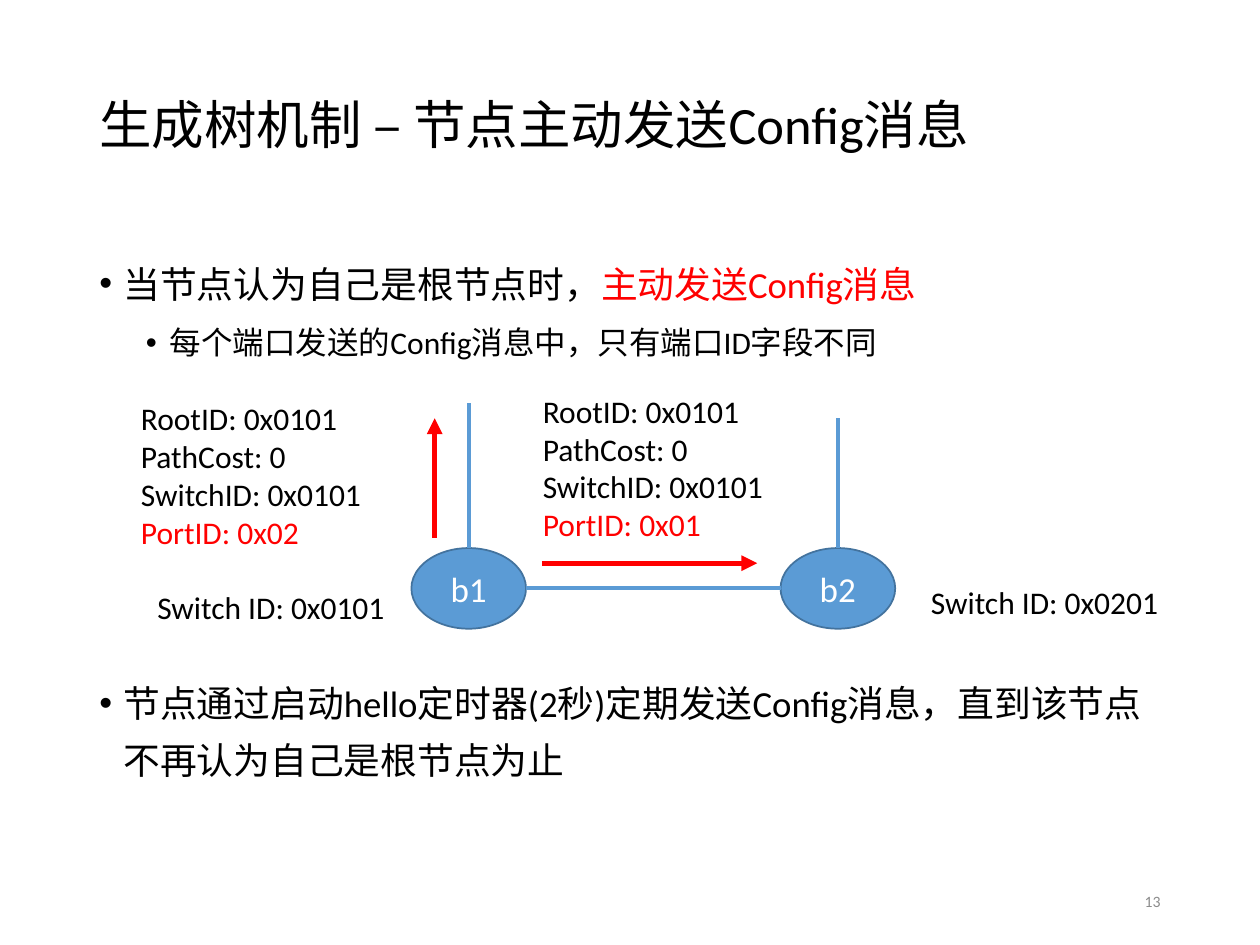
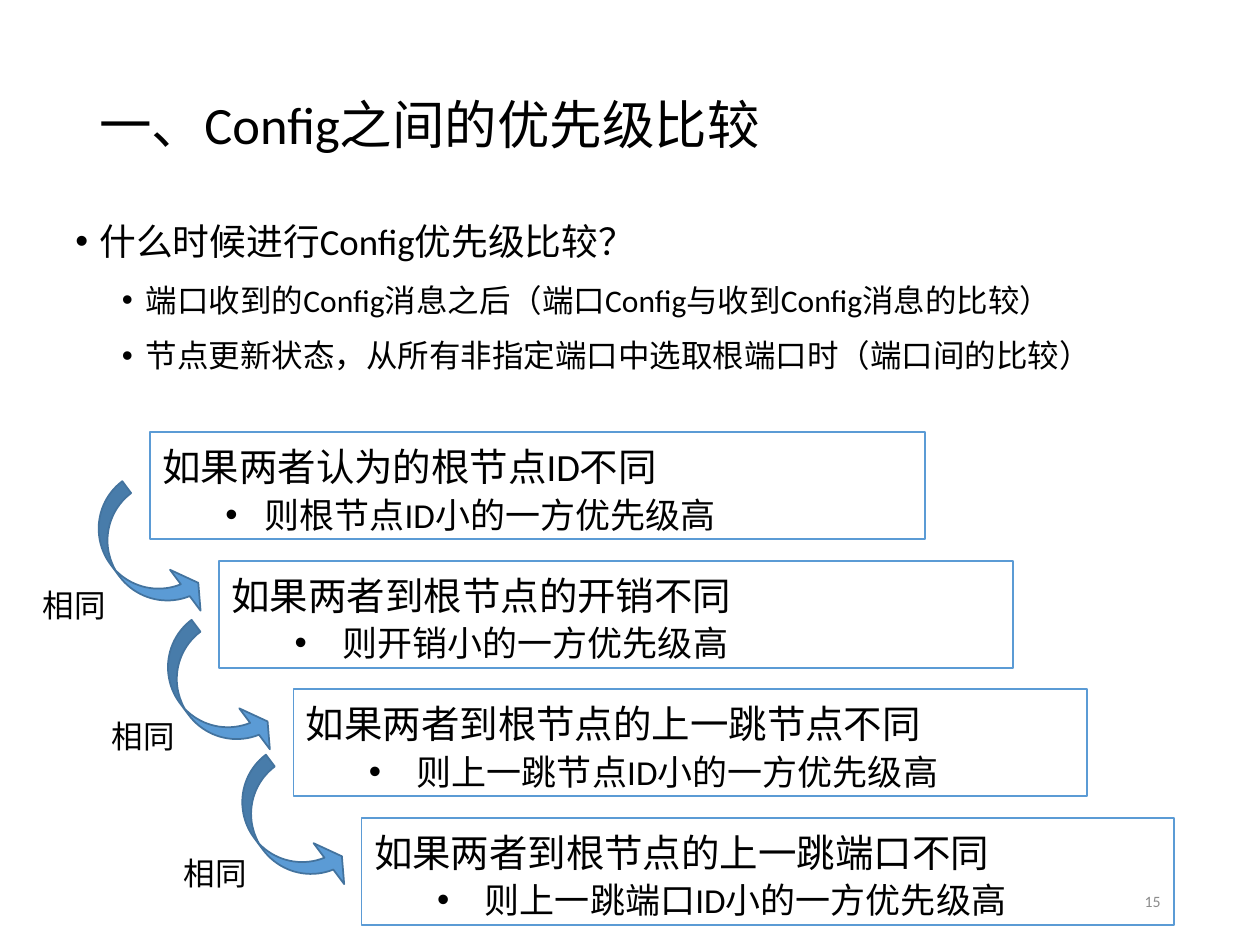
"""Build two slides on spanning tree Config messages and their priority rules."""
from lxml import etree
from pptx import Presentation
from pptx.dml.color import RGBColor
from pptx.enum.shapes import MSO_CONNECTOR, MSO_SHAPE
from pptx.enum.text import MSO_ANCHOR, PP_ALIGN
from pptx.oxml.ns import qn
from pptx.util import Inches, Pt

LEFT, CENTER, RIGHT = PP_ALIGN.LEFT, PP_ALIGN.CENTER, PP_ALIGN.RIGHT
TOP, MIDDLE = MSO_ANCHOR.TOP, MSO_ANCHOR.MIDDLE
OVAL, RECTANGLE = MSO_SHAPE.OVAL, MSO_SHAPE.RECTANGLE
CURVED_ARROW = MSO_SHAPE.CURVED_RIGHT_ARROW
STRAIGHT = MSO_CONNECTOR.STRAIGHT

FONT = "Calibri"
BLACK, WHITE, RED, GRAY = "000000", "FFFFFF", "FF0000", "8C8C8C"
BLUE, DARK_BLUE = "5B9BD5", "43739E"

BODY_LEVELS = [
    dict(size=21, spacing=1.3, before=7.5, indent=(0.19, 0.19)),
    dict(size=18, spacing=1.3, before=3.8, indent=(0.56, 0.19)),
]

SENDING = {
    "title": "生成树机制 – 节点主动发送Config消息",
    "number": "13",
    "bodies": [
        ((0.69, 1.92, 8.62, 1.2), [
            (0, [("当节点认为自己是根节点时，", BLACK), ("主动发送Config消息", RED)]),
            (1, "每个端口发送的Config消息中，只有端口ID字段不同"),
        ]),
        ((0.69, 5.25, 8.62, 1.4), [
            (0, "节点通过启动hello定时器(2秒)定期发送Config消息，"
                "直到该节点不再认为自己是根节点为止"),
        ]),
    ],
}
NODE_SIZE = (0.91, 0.64)
NODE_Y = 4.67
NODES = [
    dict(name="b1", x=3.72, link_top=3.2, label="Switch ID: 0x0101", label_at=(1.15, 4.62)),
    dict(name="b2", x=6.65, link_top=3.32, label="Switch ID: 0x0201", label_at=(7.29, 4.58)),
]
MESSAGE = ["RootID: 0x0101", "PathCost: 0", "SwitchID: 0x0101"]
MESSAGES = [
    dict(port="PortID: 0x02", at=(1.02, 3.12), arrow=((3.45, 4.27), (3.45, 3.32))),
    dict(port="PortID: 0x01", at=(4.21, 3.06), arrow=((4.3, 4.47), (6.01, 4.47))),
]

PRIORITY = {
    "title": "一、Config之间的优先级比较",
    "number": "15",
    "bodies": [
        ((0.5, 1.58, 9.22, 1.75), [
            (0, "什么时候进行Config优先级比较？"),
            (1, "端口收到的Config消息之后（端口Config与收到Config消息的比较）"),
            (1, "节点更新状态，从所有非指定端口中选取根端口时（端口间的比较）"),
        ]),
    ],
}
RULE_TOP, RULE_PITCH, RULE_HEIGHT = 3.43, 1.02, 0.85
RULES = [
    (1.19, 6.15, (0.81, 0.31), "如果两者认为的根节点ID不同", "则根节点ID小的一方优先级高"),
    (1.74, 6.3, (0.88, 0.38), "如果两者到根节点的开销不同", "则开销小的一方优先级高"),
    (2.33, 6.3, (0.88, 0.38), "如果两者到根节点的上一跳节点不同", "则上一跳节点ID小的一方优先级高"),
    (2.87, 6.45, (0.88, 0.38), "如果两者到根节点的上一跳端口不同", "则上一跳端口ID小的一方优先级高"),
]
SAME = "相同"
SAME_STEPS = [
    ((0.91, 3.84), (0.24, 4.6)),
    ((1.46, 4.94), (0.79, 5.64)),
    ((2.05, 6.01), (1.36, 6.73)),
]


def color(value):
    return RGBColor.from_string(value)


def set_bullet(paragraph, margin, hanging):
    properties = paragraph._p.get_or_add_pPr()
    properties.set("marL", str(Inches(margin)))
    properties.set("indent", str(-Inches(hanging)))
    etree.SubElement(properties, qn("a:buFont")).set("typeface", "Arial")
    etree.SubElement(properties, qn("a:buChar")).set("char", "•")


def write(frame, lines, anchor=TOP, wrap=True):
    """Fill a text frame from (text or spans, style) pairs."""
    frame.word_wrap = wrap
    frame.vertical_anchor = anchor
    for index, (content, style) in enumerate(lines):
        paragraph = frame.paragraphs[0] if index == 0 else frame.add_paragraph()
        if "indent" in style:
            set_bullet(paragraph, *style["indent"])
        paragraph.alignment = style.get("align", LEFT)
        paragraph.line_spacing = style.get("spacing", 1.0)
        paragraph.space_before = Pt(style.get("before", 0))
        paragraph.font.name = FONT
        paragraph.font.size = Pt(style.get("size", 18))
        paragraph.font.color.rgb = color(style.get("color", BLACK))
        spans = [(content, None)] if isinstance(content, str) else content
        for text, span_color in spans:
            span = paragraph.add_run()
            span.text = text
            if span_color:
                span.font.color.rgb = color(span_color)


def add_text(page, place, lines, **options):
    box = page.shapes.add_textbox(*map(Inches, place))
    write(box.text_frame, lines, **options)


def add_shape(page, kind, place, fill, line):
    shape = page.shapes.add_shape(kind, *map(Inches, place))
    shape.shadow.inherit = False
    shape.fill.solid()
    shape.fill.fore_color.rgb = color(fill)
    shape.line.color.rgb = color(line)
    shape.line.width = Pt(1)
    return shape


def add_line(page, start, end, line_color, width, arrow=False):
    line = page.shapes.add_connector(STRAIGHT, *map(Inches, start + end))
    line.line.color.rgb = color(line_color)
    line.line.width = Pt(width)
    if arrow:
        etree.SubElement(line.line._get_or_add_ln(), qn("a:tailEnd")).set("type", "triangle")
    etree.SubElement(line._element.spPr, qn("a:effectLst"))


def add_page(deck, content):
    page = deck.slides.add_slide(deck.slide_layouts[6])
    add_text(page, (0.69, 0.4, 8.62, 1.23),
             [(content["title"], dict(size=30, spacing=0.9))], anchor=MIDDLE)
    for place, items in content["bodies"]:
        add_text(page, place, [(text, BODY_LEVELS[level]) for level, text in items])
    return page


def add_number(page, content):
    add_text(page, (7.06, 6.95, 2.25, 0.4),
             [(content["number"], dict(size=9, color=GRAY, align=RIGHT))], anchor=MIDDLE)


def draw_network(page):
    width, height = NODE_SIZE
    for node in NODES:
        place = (node["x"] - width / 2, NODE_Y - height / 2, width, height)
        oval = add_shape(page, OVAL, place, BLUE, DARK_BLUE)
        write(oval.text_frame, [(node["name"], dict(size=20, color=WHITE, align=CENTER))],
              anchor=MIDDLE)
        add_line(page, (node["x"], node["link_top"]), (node["x"], NODE_Y - height / 2), BLUE, 2.25)
        add_text(page, node["label_at"] + (2.03, 0.4), [(node["label"], {})], wrap=False)
    first, second = (node["x"] for node in NODES)
    add_line(page, (first + width / 2, NODE_Y), (second - width / 2, NODE_Y), BLUE, 2.25)
    for message in MESSAGES:
        lines = [(text, {}) for text in MESSAGE] + [(message["port"], dict(color=RED))]
        add_text(page, message["at"] + (1.97, 1.31), lines, wrap=False)
        add_line(page, *message["arrow"], RED, 3, arrow=True)


def draw_rules(page):
    for index, (left, width, indent, condition, result) in enumerate(RULES):
        place = (left, RULE_TOP + index * RULE_PITCH, width, RULE_HEIGHT)
        box = add_shape(page, RECTANGLE, place, WHITE, BLUE)
        write(box.text_frame, [(condition, dict(size=22, spacing=1.1)),
                               (result, dict(size=20, spacing=1.1, indent=indent))])
    for arrow_at, label_at in SAME_STEPS:
        arrow = add_shape(page, CURVED_ARROW, arrow_at + (0.47, 1.21), BLUE, DARK_BLUE)
        arrow.rotation = 323.2
        for index, value in enumerate((0.25, 0.863, 0.25)):
            arrow.adjustments[index] = value
        add_text(page, label_at + (0.71, 0.41), [(SAME, {})], wrap=False)


deck = Presentation()
deck.slide_width, deck.slide_height = Inches(10), Inches(7.5)
for content, draw in ((SENDING, draw_network), (PRIORITY, draw_rules)):
    page = add_page(deck, content)
    draw(page)
    add_number(page, content)
deck.save("out.pptx")
